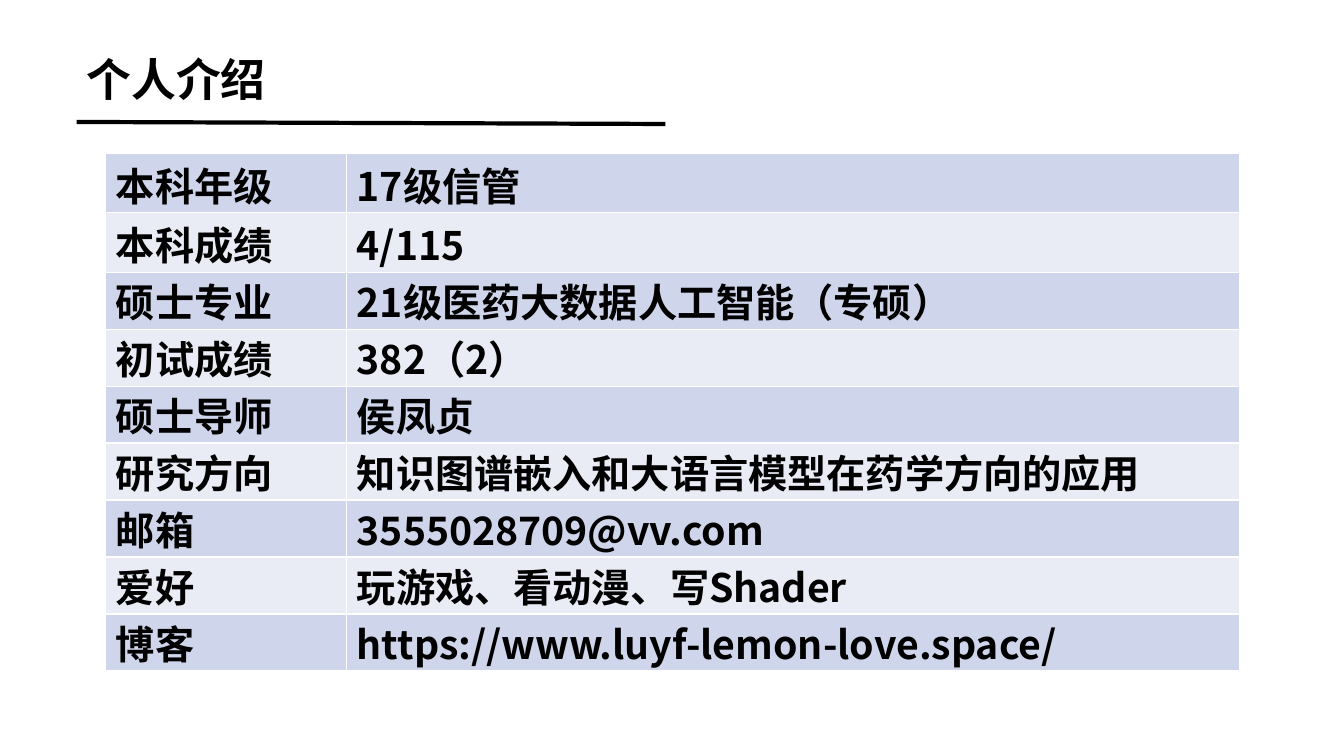
"""Builds a personal introduction slide with a ruled title and a fact table."""
from lxml import etree
from pptx import Presentation
from pptx import util as u
from pptx.dml.color import RGBColor
from pptx.enum import shapes, text
from pptx.oxml.ns import qn

HUES = {"ink": "000000", "dark": "CFD5EA", "light": "E9EBF5"}
CJK = "Noto Sans CJK SC"
FACTS = [
    ("本科年级", "17级信管"),
    ("本科成绩", "4/115"),
    ("硕士专业", "21级医药大数据人工智能（专硕）"),
    ("初试成绩", "382（2）"),
    ("硕士导师", "侯凤贞"),
    ("研究方向", "知识图谱嵌入和大语言模型在药学方向的应用"),
    ("邮箱", "3555028709@vv.com"),
    ("爱好", "玩游戏、看动漫、写Shader"),
    ("博客", "https://www.luyf-lemon-love.space/"),
]


class Page:
    def __init__(self, slide):
        self.slide = slide

    def hue(self, name):
        return RGBColor.from_string(HUES[name])

    def label(self, frame, words, size, face):
        para = frame.paragraphs[0]
        para.text = words
        font = para.font
        font.size, font.bold, font.name = u.Pt(size), True, face
        font.color.rgb = self.hue("ink")
        props = para._p.pPr.find(qn("a:defRPr"))
        etree.SubElement(props, qn("a:ea")).set("typeface", CJK)

    def rule(self, start, end, width):
        ends = [u.Inches(n) for n in (*start, *end)]
        line = self.slide.shapes.add_connector(shapes.MSO_CONNECTOR.STRAIGHT, *ends)
        line.line.color.rgb = self.hue("ink")
        line.line.width = u.Pt(width)
        etree.SubElement(line._element.spPr, qn("a:effectLst"))

    def title(self, words, *box):
        frame = self.slide.shapes.add_textbox(*map(u.Inches, box)).text_frame
        frame.word_wrap = True
        frame.auto_size = text.MSO_AUTO_SIZE.SHAPE_TO_FIT_TEXT
        self.label(frame, words, 32, "Arial")

    def table(self, facts, left, top, cols, height, tall):
        size = (len(facts), len(cols))
        box = map(u.Inches, (left, top, sum(cols), height))
        grid = self.slide.shapes.add_table(*size, *box).table
        grid.first_row = False
        for col, width in zip(grid.columns, cols):
            col.width = u.Inches(width)
        rest = (height - 2 * tall) / (len(facts) - 2)
        for i, fact in enumerate(facts):
            grid.rows[i].height = u.Inches(tall if i < 2 else rest)
            for j, words in enumerate(fact):
                cell = grid.cell(i, j)
                cell.fill.solid()
                cell.fill.fore_color.rgb = self.hue("light" if i % 2 else "dark")
                cell.margin_top = cell.margin_bottom = 0
                cell.vertical_anchor = text.MSO_ANCHOR.BOTTOM
                self.label(cell.text_frame, words, 28, CJK)


def main():
    deck = Presentation()
    deck.slide_width, deck.slide_height = u.Inches(13.33), u.Inches(7.5)
    page = Page(deck.slides.add_slide(deck.slide_layouts[6]))
    page.rule((0.76, 1.21), (6.6, 1.23), 3)
    page.title("个人介绍", 0.76, 0.46, 5.06, 0.64)
    page.table(FACTS, 1.05, 1.52, (2.39, 8.85), 5.14, 0.59)
    deck.save("out.pptx")


if __name__ == "__main__":
    main()
